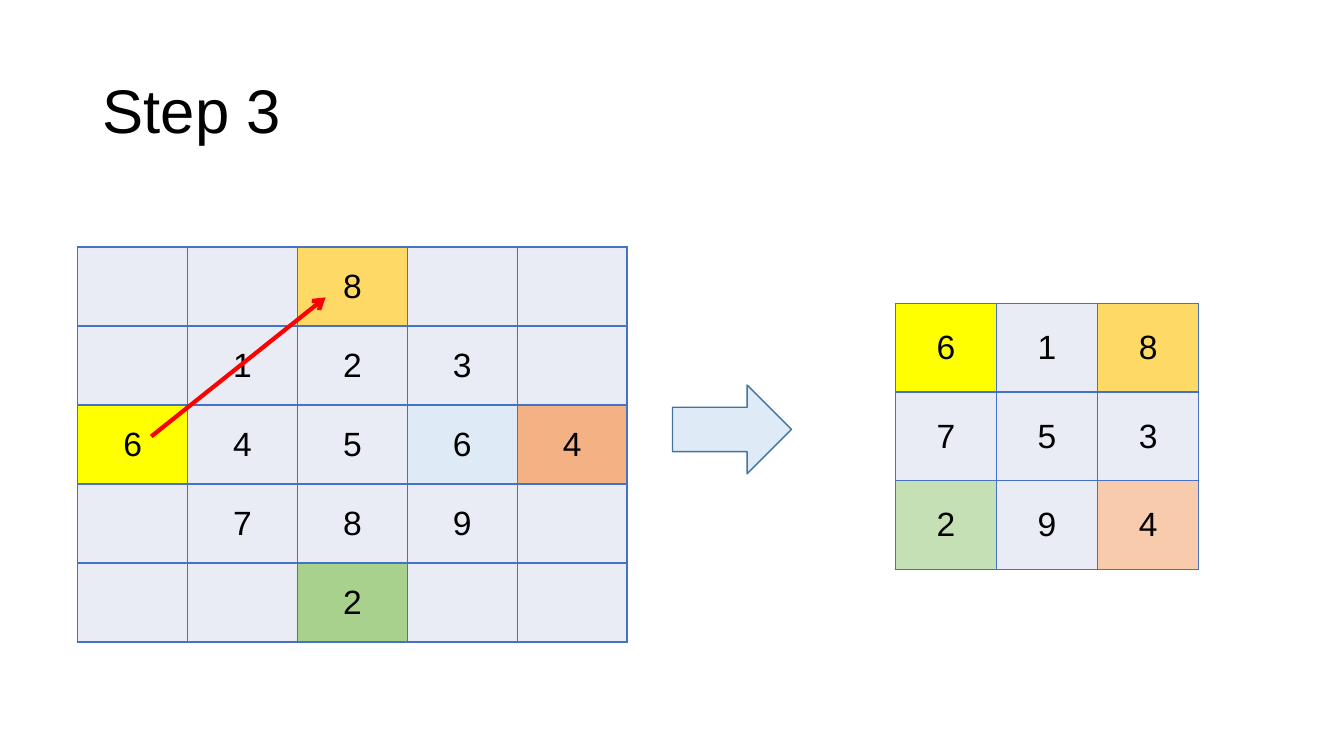
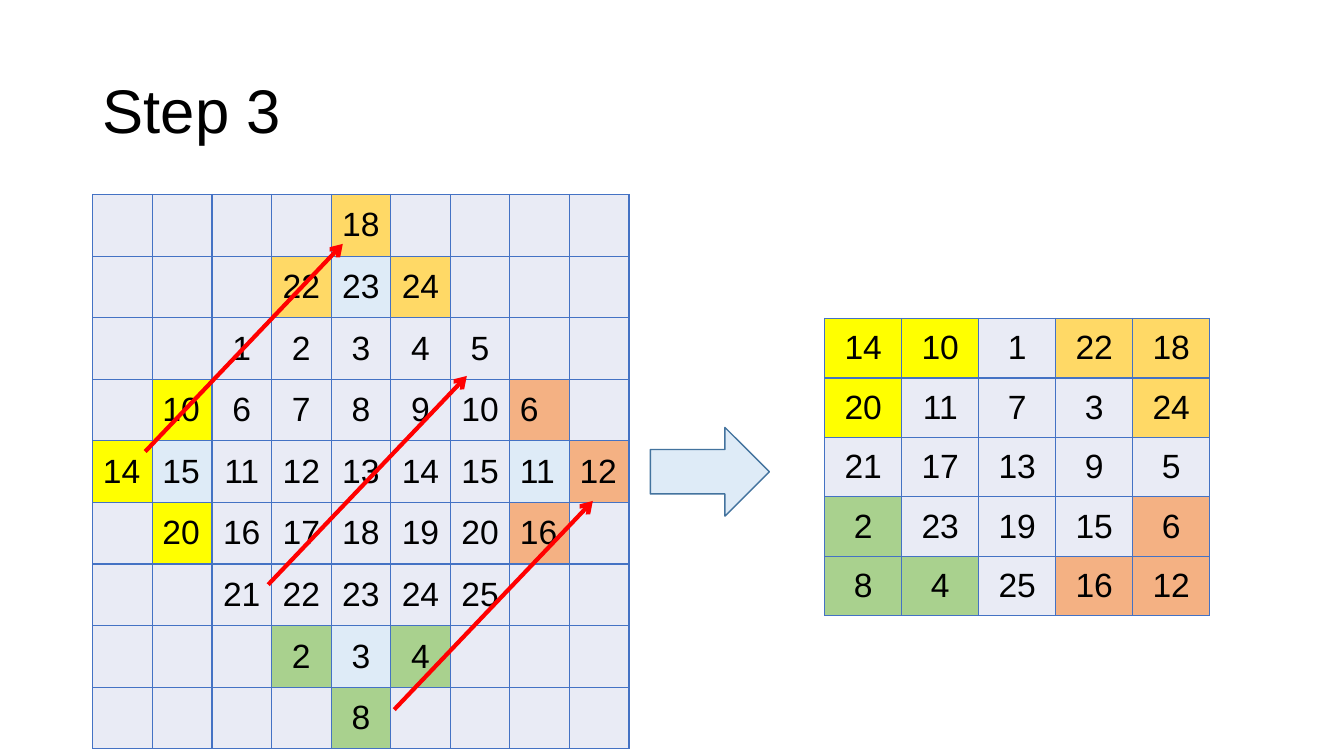
from dataclasses import dataclass

from lxml import etree
from pptx import Presentation
from pptx.dml.color import RGBColor
from pptx.enum import shapes, text
from pptx.oxml import ns
from pptx.slide import Slide
from pptx.table import _Cell
from pptx.text.text import TextFrame
from pptx.util import Inches, Pt

FONT = "Arial"
BLACK = RGBColor(0x00, 0x00, 0x00)
RED = RGBColor(0xFF, 0x00, 0x00)
GRID_BLUE = RGBColor(0x44, 0x72, 0xC4)
ARROW_EDGE = RGBColor(0x43, 0x73, 0x9E)
PALE_BLUE = RGBColor(0xDE, 0xEB, 0xF7)
PLAIN = RGBColor(0xE9, 0xEB, 0xF5)

# A letter after a cell's number selects its fill.
FILLS = {
    "y": RGBColor(0xFF, 0xFF, 0x00),
    "g": RGBColor(0xFF, 0xD9, 0x66),
    "o": RGBColor(0xF4, 0xB1, 0x83),
    "p": RGBColor(0xF8, 0xCB, 0xAD),
    "n": RGBColor(0xA9, 0xD1, 0x8E),
    "m": RGBColor(0xC5, 0xE0, 0xB4),
    "b": PALE_BLUE,
}


@dataclass(frozen=True)
class Grid:
    """A number square: one string per row, with "." for an empty cell."""
    left: float
    top: float
    width: float
    height: float
    rows: tuple[str, ...]
    left_aligned: tuple[int, ...] = ()


@dataclass(frozen=True)
class Move:
    start: tuple[float, float]
    end: tuple[float, float]


@dataclass(frozen=True)
class Step:
    title: str
    grids: tuple[Grid, ...]
    moves: tuple[Move, ...]
    arrow_at: tuple[float, float]


STEPS = (
    Step(
        title="Step 3",
        grids=(
            Grid(0.77, 2.45, 5.45, 3.92, (
                ". . 8g . .",
                ". 1 2 3 .",
                "6y 4 5 6b 4o",
                ". 7 8 9 .",
                ". . 2n . .",
            )),
            Grid(8.88, 3.01, 3.01, 2.64, (
                "6y 1 8g",
                "7 5 3",
                "2m 9 4p",
            )),
        ),
        moves=(Move((1.5, 4.33), (3.23, 2.95)),),
        arrow_at=(6.67, 3.82),
    ),
    Step(
        title="Step 3",
        grids=(
            Grid(0.92, 1.93, 5.32, 5.5, (
                ". . . . 18g . . . .",
                ". . . 22g 23b 24g . . .",
                ". . 1 2 3 4 5 . .",
                ". 10y 6 7 8 9 10 6o .",
                "14y 15b 11 12 13 14 15 11b 12o",
                ". 20y 16 17 18 19 20 16o .",
                ". . 21 22 23 24 25 . .",
                ". . . 2n 3b 4n . . .",
                ". . . . 8n . . . .",
            ), left_aligned=(0, 1, 7, 8)),
            Grid(8.18, 3.16, 3.82, 2.95, (
                "14y 10y 1 22g 18g",
                "20y 11 7 3 24g",
                "21 17 13 9 5",
                "2n 23 19 15 6o",
                "8n 4n 25 16o 12o",
            )),
        ),
        moves=(
            Move((1.44, 4.48), (3.4, 2.42)),
            Move((2.66, 5.8), (4.63, 3.73)),
            Move((3.91, 7.04), (5.88, 4.97)),
        ),
        arrow_at=(6.45, 4.24),
    ),
)


def write_text(frame: TextFrame, content: str, *, size: float,
               align: text.PP_ALIGN = text.PP_ALIGN.LEFT,
               line_spacing: float = 1.0) -> None:
    paragraph = frame.paragraphs[0]
    paragraph.alignment = align
    paragraph.line_spacing = line_spacing
    run = paragraph.add_run()
    run.text = content
    run.font.name = FONT
    run.font.size = Pt(size)
    run.font.color.rgb = BLACK


def add_title(slide: Slide, title: str) -> None:
    box = slide.shapes.add_textbox(Inches(0.92), Inches(0.4), Inches(11.5), Inches(1.45))
    box.text_frame.word_wrap = True
    box.text_frame.vertical_anchor = text.MSO_ANCHOR.MIDDLE
    write_text(box.text_frame, title, size=44, line_spacing=0.9)


def add_borders(cell: _Cell) -> None:
    properties = cell._tc.get_or_add_tcPr()
    for side in ("lnL", "lnR", "lnT", "lnB"):
        line = etree.SubElement(properties, ns.qn(f"a:{side}"), w=str(Pt(1)))
        fill = etree.SubElement(line, ns.qn("a:solidFill"))
        etree.SubElement(fill, ns.qn("a:srgbClr"), val=str(GRID_BLUE))


def add_grid(slide: Slide, grid: Grid) -> None:
    entries = [row.split() for row in grid.rows]
    table = slide.shapes.add_table(
        len(entries), len(entries[0]), Inches(grid.left), Inches(grid.top),
        Inches(grid.width), Inches(grid.height)).table
    table.first_row = False
    table.horz_banding = False
    for row, row_entries in enumerate(entries):
        for column, entry in enumerate(row_entries):
            cell = table.cell(row, column)
            add_borders(cell)
            cell.fill.solid()
            cell.fill.fore_color.rgb = FILLS.get(entry[-1], PLAIN)
            cell.vertical_anchor = text.MSO_ANCHOR.MIDDLE
            if entry != ".":
                align = (text.PP_ALIGN.LEFT if column in grid.left_aligned
                         else text.PP_ALIGN.CENTER)
                number = entry.rstrip("".join(FILLS))
                write_text(cell.text_frame, number, size=24, align=align)


def add_move(slide: Slide, move: Move) -> None:
    """Draw a red arrow along a diagonal of the square."""
    connector = slide.shapes.add_connector(
        shapes.MSO_CONNECTOR.STRAIGHT,
        *(Inches(value) for value in move.start + move.end))
    connector.line.color.rgb = RED
    connector.line.width = Pt(3)
    etree.SubElement(connector.line._get_or_add_ln(), ns.qn("a:tailEnd"), type="arrow")
    etree.SubElement(connector._element.spPr, ns.qn("a:effectLst"))


def add_block_arrow(slide: Slide, left: float, top: float) -> None:
    arrow = slide.shapes.add_shape(
        shapes.MSO_SHAPE.RIGHT_ARROW, Inches(left), Inches(top), Inches(1.18), Inches(0.88))
    arrow.shadow.inherit = False
    arrow.fill.solid()
    arrow.fill.fore_color.rgb = PALE_BLUE
    arrow.line.color.rgb = ARROW_EDGE
    arrow.line.width = Pt(1)


def main() -> None:
    presentation = Presentation()
    presentation.slide_width = Inches(13.33)
    presentation.slide_height = Inches(7.5)
    blank = presentation.slide_layouts[6]
    for step in STEPS:
        slide = presentation.slides.add_slide(blank)
        add_title(slide, step.title)
        for grid in step.grids:
            add_grid(slide, grid)
        for move in step.moves:
            add_move(slide, move)
        add_block_arrow(slide, *step.arrow_at)
    presentation.save("out.pptx")


if __name__ == "__main__":
    main()
